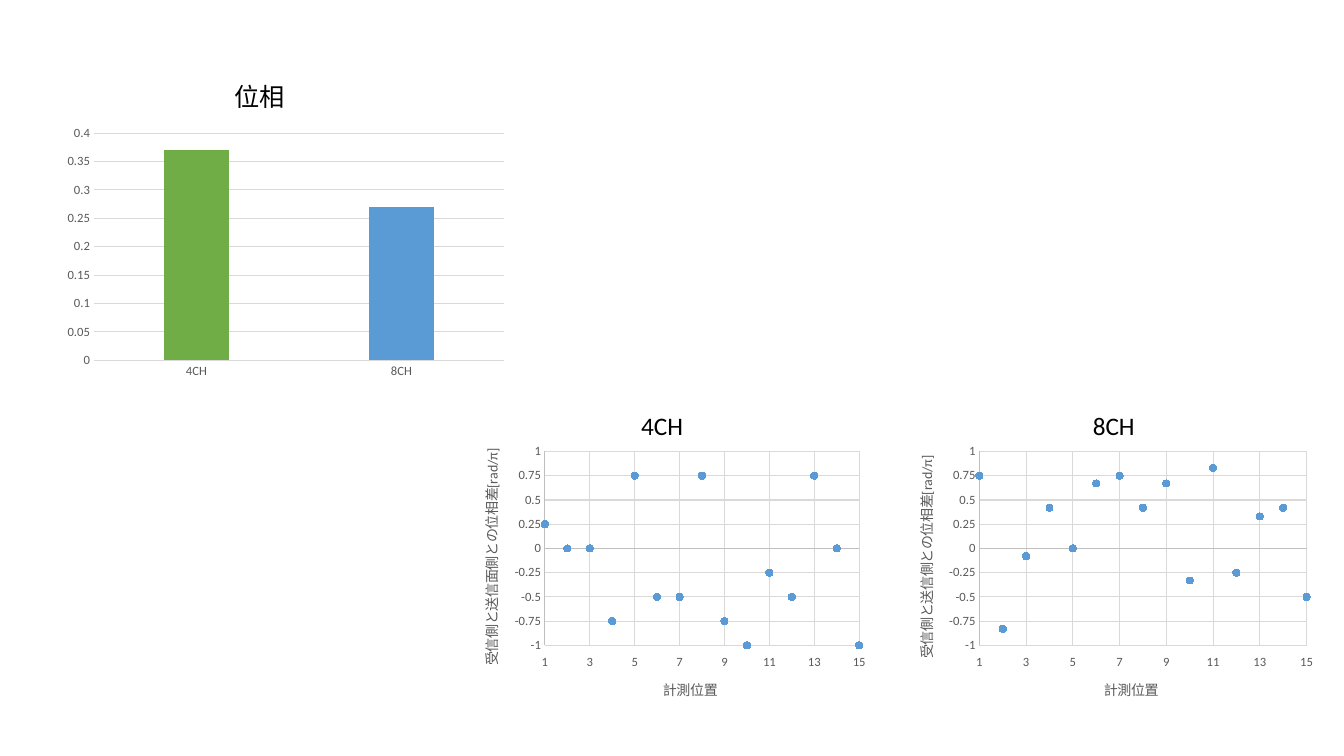
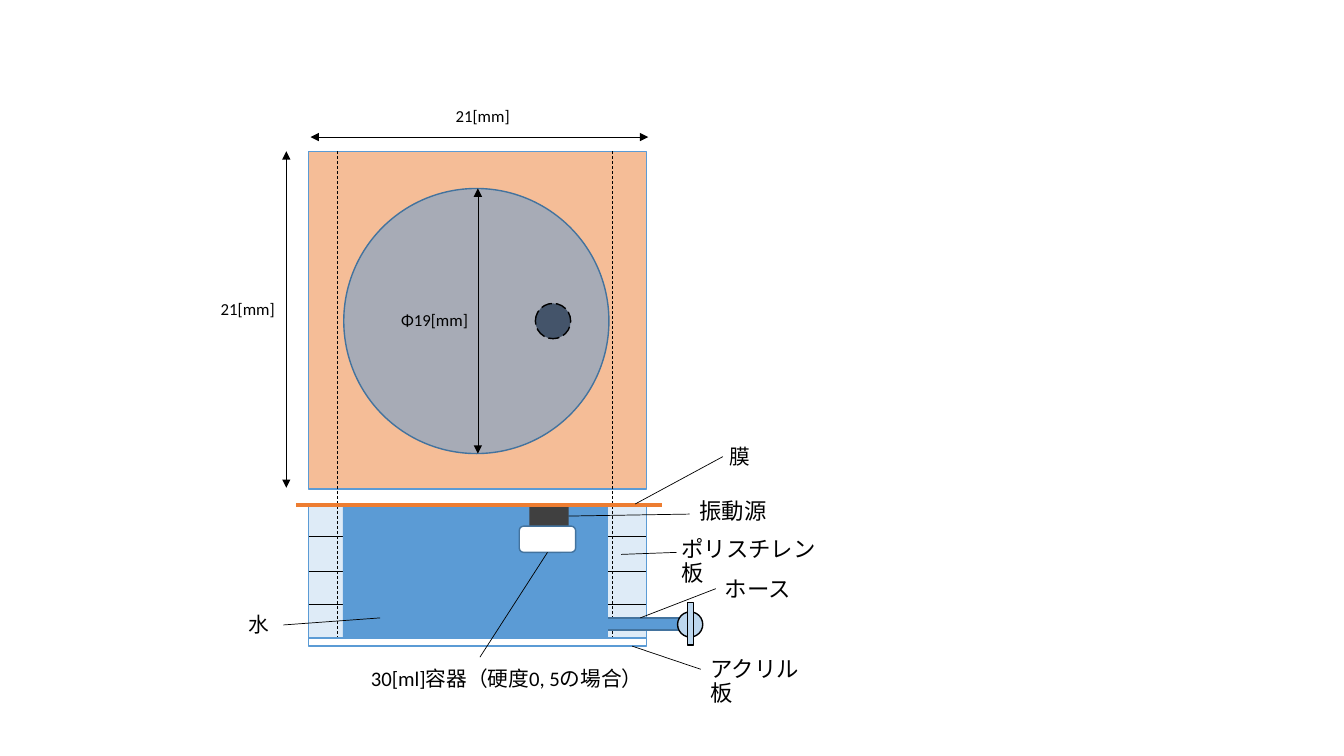
from lxml import etree
from pptx import Presentation
from pptx import util as u
from pptx.chart import data
from pptx.dml.color import RGBColor
from pptx.enum import chart as ch
from pptx.enum import dml, shapes
from pptx.oxml import ns

INK = {
    "black": "000000", "white": "FFFFFF", "gray": "595959", "grid": "D9D9D9",
    "axis": "BFBFBF", "blue": "5B9BD5", "edge": "43739E", "green": "70AD47",
    "orange": "ED7D31", "navy": "44546A", "ice": "DEEBF7", "sky": "BDD7EE",
    "dark": "404040",
}
FORM = shapes.MSO_SHAPE
DASH = dml.MSO_LINE


def rgb(name):
    return RGBColor.from_string(INK[name])


def inches(*nums):
    return [u.Inches(n) for n in nums]


def child(node, tag, **attrs):
    item = etree.SubElement(node, ns.qn(tag))
    for key, val in attrs.items():
        item.set(key, str(val))
    return item


class Deck:
    face = "Calibri"

    def __init__(self):
        self.prs = Presentation()
        self.prs.slide_width, self.prs.slide_height = inches(13.33, 7.5)

    def page(self):
        self.slide = self.prs.slides.add_slide(self.prs.slide_layouts[6])

    def style(self, font, size, ink="black"):
        font.name, font.size, font.bold = self.face, u.Pt(size), False
        font.color.rgb = rgb(ink)

    def stroke(self, line, ink, width, dash=None):
        if ink is None:
            line.fill.background()
            return
        line.color.rgb = rgb(ink)
        line.width = u.Pt(width)
        if dash:
            line.dash_style = dash

    def text(self, words, left, top, wide, high, size, pitch=1.0):
        box = self.slide.shapes.add_textbox(*inches(left, top, wide, high))
        box.text_frame.word_wrap = True
        para = box.text_frame.paragraphs[0]
        para.text = words
        para.line_spacing = pitch
        self.style(para.font, size)

    def shape(self, form, left, top, wide, high, fill, edge=None, alpha=None, dash=None):
        item = self.slide.shapes.add_shape(form, *inches(left, top, wide, high))
        item.shadow.inherit = False
        item.fill.solid()
        item.fill.fore_color.rgb = rgb(fill)
        if alpha:
            tint = item.fill._xPr.find(ns.qn("a:solidFill"))[0]
            child(tint, "a:alpha", val=alpha * 1000)
        self.stroke(item.line, edge, 1, dash)

    def line(self, x1, y1, x2, y2, ink="black", width=0.5, dash=None, heads=False):
        item = self.slide.shapes.add_connector(
            shapes.MSO_CONNECTOR.STRAIGHT, *inches(x1, y1, x2, y2))
        self.stroke(item.line, ink, width, dash)
        if heads:
            for tag in ("a:headEnd", "a:tailEnd"):
                child(item.line._get_or_add_ln(), tag, type="triangle")
        child(item._element.spPr, "a:effectLst")

    def chart(self, kind, spot, table, frame):
        chart = self.slide.shapes.add_chart(kind, *inches(*spot), table).chart
        chart.has_legend = chart.has_title = False
        self.style(chart.font, 10)
        chart.plots[0].vary_by_categories = False
        for axis in (chart.category_axis, chart.value_axis):
            axis.major_tick_mark = axis.minor_tick_mark = ch.XL_TICK_MARK.NONE
            self.style(axis.tick_labels.font, 9, "gray")
        area = chart._chartSpace.chart.plotArea
        for old in area.findall(ns.qn("c:layout")):
            area.remove(old)
        plan = child(area, "c:layout")
        area.insert(0, plan)
        manual = child(plan, "c:manualLayout")
        child(manual, "c:layoutTarget", val="inner")
        for tag in ("c:xMode", "c:yMode"):
            child(manual, tag, val="edge")
        for key, val in zip("xywh", frame):
            child(manual, "c:" + key, val=val)
        return chart

    def grid(self, axis):
        axis.has_major_gridlines = True
        self.stroke(axis.major_gridlines.format.line, "grid", 0.75)

    def bars(self, spot, names, vals, inks, frame):
        table = data.CategoryChartData()
        table.categories = names
        table.add_series("Series 1", vals)
        chart = self.chart(ch.XL_CHART_TYPE.COLUMN_CLUSTERED, spot, table, frame)
        plot = chart.plots[0]
        plot.gap_width, plot.overlap = 219, -27
        for num, ink in enumerate(inks):
            fill = plot.series[0].points[num].format.fill
            fill.solid()
            fill.fore_color.rgb = rgb(ink)
        axis = chart.value_axis
        axis.minimum_scale, axis.maximum_scale, axis.major_unit = 0, 0.4, 0.05
        self.grid(axis)
        self.stroke(axis.format.line, None, 0)
        self.stroke(chart.category_axis.format.line, "grid", 0.75)

    def dots(self, spot, vals, label, frame):
        table = data.XyChartData()
        series = table.add_series("Series 1")
        for x, y in enumerate(vals, 1):
            series.add_data_point(x, y)
        chart = self.chart(ch.XL_CHART_TYPE.XY_SCATTER, spot, table, frame)
        series = chart.plots[0].series[0]
        series.format.line.fill.background()
        mark = series.marker
        mark.style, mark.size = ch.XL_MARKER_STYLE.CIRCLE, 5
        mark.format.fill.solid()
        mark.format.fill.fore_color.rgb = rgb("blue")
        self.stroke(mark.format.line, "blue", 0.75)
        rules = ((chart.category_axis, "計測位置", 1, 15, 2),
                 (chart.value_axis, label, -1, 1, 0.25))
        for axis, words, low, high, step in rules:
            axis.minimum_scale, axis.maximum_scale, axis.major_unit = low, high, step
            self.grid(axis)
            self.stroke(axis.format.line, "axis", 0.75)
            para = axis.axis_title.text_frame.paragraphs[0]
            para.text = words
            self.style(para.font, 10, "gray")
        chart.category_axis.tick_label_position = ch.XL_TICK_LABEL_POSITION.LOW


def phase(deck):
    deck.page()
    deck.bars((0.57, 1.19, 4.52, 2.62), ("4CH", "8CH"), (0.37, 0.27),
              ("green", "blue"), (0.08, 0.05, 0.9, 0.86))
    deck.text("位相", 2.23, 0.76, 1.89, 0.4, 18)
    plots = (
        ("4CH", 4.38, 6.26, "受信側と送信面側との位相差[rad/π]", (0.24, 0.05, 0.73, 0.69),
         (0.25, 0, 0, -0.75, 0.75, -0.5, -0.5, 0.75, -0.75, -1, -0.25, -0.5, 0.75, 0, -1)),
        ("8CH", 8.86, 10.74, "受信側と送信側との位相差[rad/π]", (0.2, 0.05, 0.76, 0.69),
         (0.75, -0.83, -0.08, 0.42, 0, 0.67, 0.75, 0.42, 0.67, -0.33, 0.83, -0.25, 0.33,
          0.42, -0.5)),
    )
    for name, left, mid, label, frame, vals in plots:
        deck.dots((left, 4.34, 4.27, 2.79), vals, label, frame)
        deck.text(name, mid, 4.02, 0.82, 0.4, 18)


def tank(deck):
    deck.page()
    left, top, side = 3.06, 1.5, 3.35
    right, deep = left + side, 5.01
    deck.shape(FORM.RECTANGLE, left, top, side, side, "orange", "blue", alpha=50)
    deck.shape(FORM.OVAL, 3.41, 1.87, 2.63, 2.63, "blue", "edge", alpha=50)
    deck.shape(FORM.OVAL, 5.31, 3.01, 0.35, 0.35, "navy", "black", dash=DASH.LONG_DASH)

    deck.shape(FORM.RECTANGLE, left, deep, side, 1.33, "ice", "blue")
    for y in (5.32, 5.67, 6):
        deck.line(left, y, right, y)
    for x in (3.35, 6.07):
        deck.line(x, top, x, 6.34, dash=DASH.DASH)
    deck.shape(FORM.RECTANGLE, left, 6.33, side, 0.08, "white", "blue")

    for ends in ((4.74, 1.87, 4.74, 4.5), (2.84, top, 2.84, 4.84), (3.08, 1.36, 6.43, 1.36)):
        deck.line(*ends, heads=True)

    deck.shape(FORM.RECTANGLE, 5.91, 6.13, 0.88, 0.12, "blue", "edge")
    deck.shape(FORM.RECTANGLE, 3.4, deep, 2.63, 1.33, "blue")
    deck.shape(FORM.RECTANGLE, 5.25, 5.02, 0.39, 0.21, "dark")
    deck.shape(FORM.ROUNDED_RECTANGLE, 5.15, 5.22, 0.56, 0.26, "white", "edge")
    deck.line(2.94, deep, 6.57, deep, "orange", 2.25)
    deck.shape(FORM.OVAL, 6.72, 6.07, 0.25, 0.25, "sky", "black")
    deck.shape(FORM.RECTANGLE, 6.82, 5.98, 0.06, 0.42, "sky", "black")

    leads = (
        (2.81, 6.2, 3.77, 6.13), (6.3, 5, 7.17, 4.53), (6.16, 5.5, 6.71, 5.48),
        (6.27, 6.41, 6.95, 6.64), (5.43, 5.48, 4.76, 6.52), (6.35, 6.13, 7.1, 5.84),
        (5.64, 5.12, 6.84, 5.1),
    )
    for ends in leads:
        deck.line(*ends)

    labels = (
        ("水", 2.37, 6.09, 0.43, 0.3, 14.8, 0.7),
        ("膜", 7.14, 4.42, 0.43, 0.3, 14.8, 0.7),
        ("振動源", 6.84, 4.91, 0.94, 0.38, 16, 0.9),
        ("ポリスチレン板", 6.66, 5.29, 1.68, 0.38, 16, 0.9),
        ("ホース", 7.09, 5.69, 0.86, 0.38, 16, 0.9),
        ("アクリル板", 6.95, 6.48, 1.23, 0.38, 16, 0.9),
        ("30[ml]容器（硬度0, 5の場合）", 3.58, 6.58, 2.9, 0.38, 14.8, 0.9),
        ("Φ19[mm]", 3.88, 3.05, 0.94, 0.29, 12, 0.9),
        ("21[mm]", 2.09, 2.94, 0.8, 0.23, 12, 0.9),
        ("21[mm]", 4.42, 1.02, 0.8, 0.23, 12, 0.9),
    )
    for label in labels:
        deck.text(*label)


def main():
    deck = Deck()
    phase(deck)
    tank(deck)
    deck.prs.save("out.pptx")


if __name__ == "__main__":
    main()
